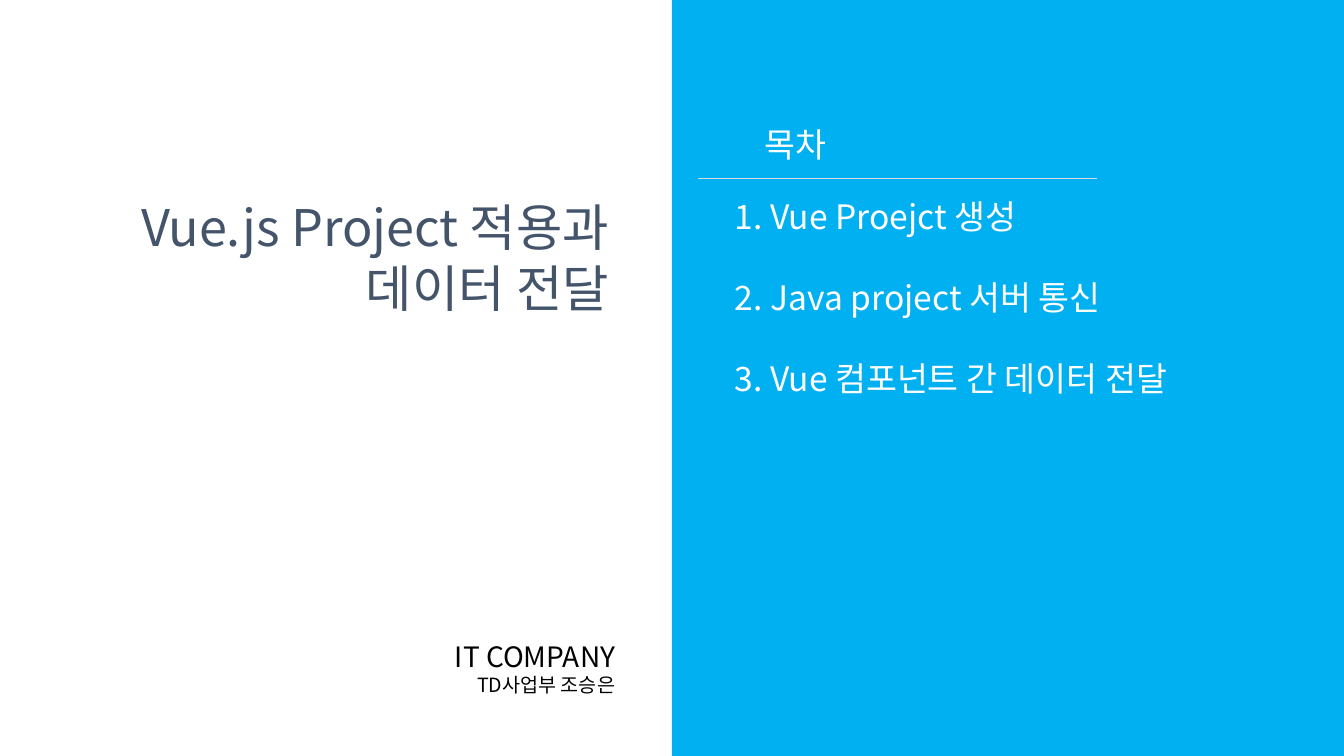
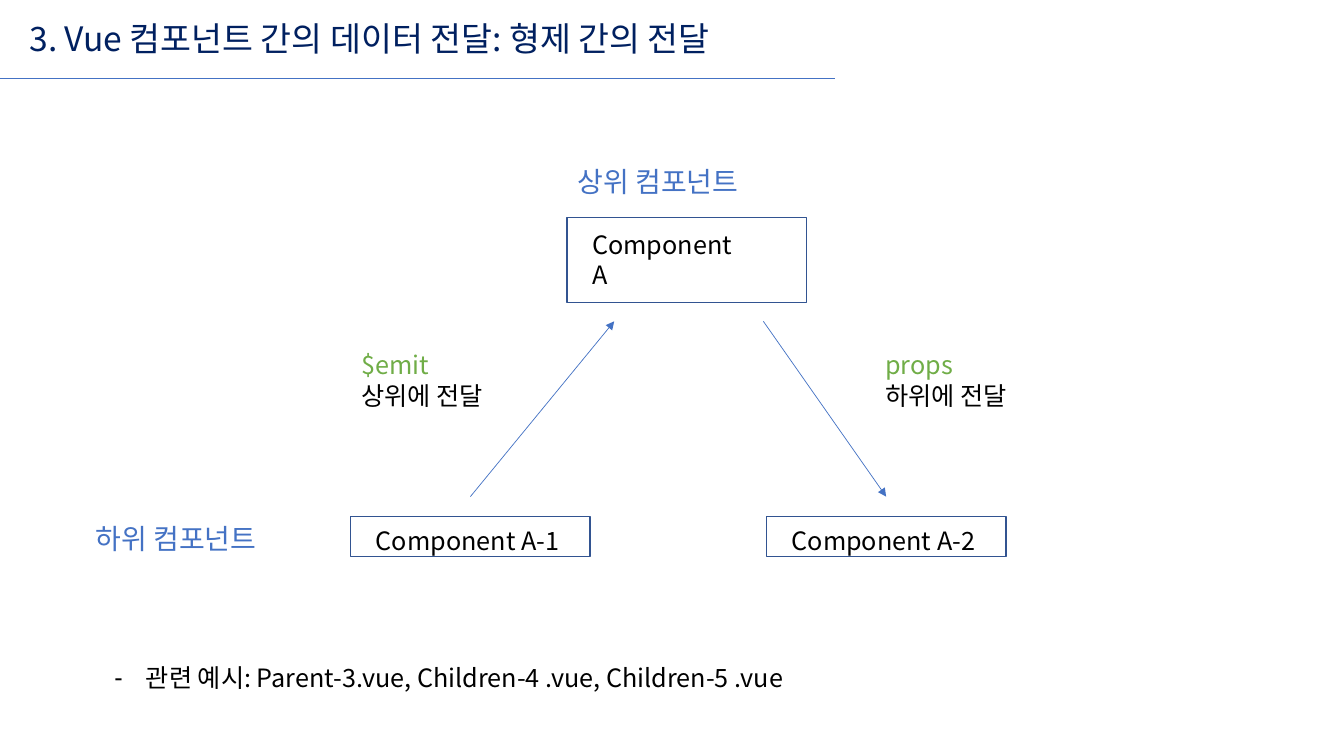
from dataclasses import dataclass
from typing import Optional

from pptx import Presentation
from pptx.dml.color import RGBColor
from pptx.enum.shapes import MSO_CONNECTOR, MSO_SHAPE
from pptx.enum.text import MSO_ANCHOR, MSO_AUTO_SIZE, PP_ALIGN
from pptx.oxml.ns import qn
from pptx.shapes.autoshape import Shape
from pptx.shapes.connector import Connector
from pptx.slide import Slide
from pptx.text.text import TextFrame
from pptx.util import Emu, Pt
from lxml.etree import SubElement

PX = 9525
WIDTH, HEIGHT = 1280, 720
FONT = "Noto Sans CJK KR"
LINE_PITCH = 1.2
COLORS = {
    "panel": "00B0F0",
    "white": "FFFFFF",
    "cover": "44546A",
    "heading": "002060",
    "black": "000000",
    "blue": "4472C4",
    "border": "325491",
    "green": "70AD47",
    "divider": "D9D9D9",
}


@dataclass(frozen=True)
class Box:
    left: int
    top: int
    width: int
    height: int


@dataclass(frozen=True)
class Line:
    text: str
    size: int
    color: str
    before: int = 0
    dash: bool = False


@dataclass(frozen=True)
class Insets:
    left: int = 10
    top: int = 5
    right: int = 10


@dataclass(frozen=True)
class Component:
    name: str
    box: Box
    insets: Insets


@dataclass(frozen=True)
class Transfer:
    keyword: str
    meaning: str
    label: Box
    start: tuple[int, int]
    end: tuple[int, int]


def px(length: int) -> Emu:
    return Emu(length * PX)


def rgb(color: str) -> RGBColor:
    return RGBColor.from_string(COLORS[color])


def write(frame: TextFrame, lines: list[Line],
          align: PP_ALIGN = PP_ALIGN.LEFT, insets: Insets = Insets()) -> None:
    """Fill a frame with one paragraph per line, in the deck's text style."""
    frame.word_wrap = True
    frame.auto_size = MSO_AUTO_SIZE.NONE
    frame.vertical_anchor = MSO_ANCHOR.TOP
    frame.margin_left, frame.margin_right = px(insets.left), px(insets.right)
    frame.margin_top, frame.margin_bottom = px(insets.top), px(0)
    for index, line in enumerate(lines):
        paragraph = frame.paragraphs[0] if index == 0 else frame.add_paragraph()
        paragraph.alignment = align
        paragraph.line_spacing = Pt(line.size * LINE_PITCH)
        paragraph.space_before = Pt(line.before)
        paragraph.space_after = Pt(0)
        set_bullet(paragraph._p.get_or_add_pPr(), line.dash)
        run = paragraph.add_run()
        run.text = line.text
        run.font.size = Pt(line.size)
        run.font.color.rgb = rgb(line.color)
        run.font.name = FONT
        SubElement(run._r.get_or_add_rPr(), qn("a:ea"), typeface=FONT)


def set_bullet(properties, dash: bool) -> None:
    indent = px(30) if dash else 0
    properties.set("marL", str(indent))
    properties.set("indent", str(-indent))
    if dash:
        SubElement(properties, qn("a:buChar"), char="-")
    else:
        SubElement(properties, qn("a:buNone"))


def place(shape: Shape, box: Box) -> None:
    shape.left, shape.top = px(box.left), px(box.top)
    shape.width, shape.height = px(box.width), px(box.height)


def add_text(slide: Slide, box: Box, lines: list[Line],
             align: PP_ALIGN = PP_ALIGN.LEFT) -> None:
    label = slide.shapes.add_textbox(0, 0, 0, 0)
    place(label, box)
    write(label.text_frame, lines, align)


def fill_placeholder(slide: Slide, index: int, box: Box, lines: list[Line],
                     align: PP_ALIGN = PP_ALIGN.LEFT) -> None:
    holder = slide.placeholders[index]
    place(holder, box)
    write(holder.text_frame, lines, align)


def add_rectangle(slide: Slide, box: Box, fill: Optional[str] = None,
                  border: Optional[str] = None) -> Shape:
    rectangle = slide.shapes.add_shape(MSO_SHAPE.RECTANGLE, 0, 0, 0, 0)
    place(rectangle, box)
    rectangle.shadow.inherit = False
    if fill:
        rectangle.fill.solid()
        rectangle.fill.fore_color.rgb = rgb(fill)
    else:
        rectangle.fill.background()
    if border:
        rectangle.line.color.rgb = rgb(border)
        rectangle.line.width = Pt(1)
    else:
        rectangle.line.fill.background()
    return rectangle


def add_line(slide: Slide, start: tuple[int, int], end: tuple[int, int],
             color: str) -> Connector:
    connector = slide.shapes.add_connector(
        MSO_CONNECTOR.STRAIGHT, *map(px, start + end))
    connector.line.color.rgb = rgb(color)
    connector.line.width = Pt(0.5)
    SubElement(connector._element.spPr, qn("a:effectLst"))
    return connector


def add_component(slide: Slide, component: Component) -> None:
    rectangle = add_rectangle(slide, component.box, border="border")
    write(rectangle.text_frame, [Line(component.name, 18, "black")],
          insets=component.insets)


def add_transfer(slide: Slide, transfer: Transfer) -> None:
    """Draw an arrow between components with its keyword and meaning."""
    add_text(slide, transfer.label, [
        Line(transfer.keyword, 18, "green"),
        Line(transfer.meaning, 18, "black"),
    ])
    arrow = add_line(slide, transfer.start, transfer.end, "blue")
    SubElement(arrow.line._get_or_add_ln(), qn("a:tailEnd"), type="triangle")


def build_cover(slide: Slide) -> None:
    half = WIDTH // 2
    panel = add_rectangle(slide, Box(half, 0, half, HEIGHT), fill="panel")
    slide.shapes._spTree.insert(2, panel._element)
    fill_placeholder(slide, 0, Box(87, 182, 503, 126), [
        Line("Vue.js Project 적용과", 36, "cover"),
        Line("데이터 전달", 36, "cover"),
    ], PP_ALIGN.RIGHT)
    topics = ["1. Vue Proejct 생성", "2. Java project 서버 통신",
              "3. Vue 컴포넌트 간 데이터 전달"]
    fill_placeholder(slide, 1, Box(690, 182, 492, 204), [
        Line(topic, 24, "white", before=29 if number else 0)
        for number, topic in enumerate(topics)
    ])
    add_text(slide, Box(217, 604, 379, 64), [
        Line("IT COMPANY", 20, "black"),
        Line("TD사업부 조승은", 14, "black"),
    ], PP_ALIGN.RIGHT)
    add_line(slide, (665, 170), (1045, 170), "divider")
    add_text(slide, Box(718, 113, 379, 48), [Line("목차", 24, "white")])


def build_sibling_transfer(slide: Slide) -> None:
    add_line(slide, (0, 75), (795, 75), "blue")
    fill_placeholder(slide, 0, Box(18, 12, 920, 48), [
        Line("3. Vue 컴포넌트 간의 데이터 전달: 형제 간의 전달", 24, "heading"),
    ])

    child_top, child_insets = 492, Insets(24, 8, 10)
    components = [
        Component("Component A", Box(540, 207, 228, 81), Insets(24, 11, 54)),
        Component("Component A-1", Box(334, child_top, 228, 38), child_insets),
        Component("Component A-2", Box(730, child_top, 228, 38), child_insets),
    ]
    for component in components:
        add_component(slide, component)

    upper, lower = 306, 473
    transfers = [
        Transfer("$emit", "상위에 전달", Box(334, 328, 170, 68),
                 (448, lower), (585, upper)),
        Transfer("props", "하위에 전달", Box(833, 328, 170, 68),
                 (727, upper), (844, lower)),
    ]
    for transfer in transfers:
        add_transfer(slide, transfer)

    levels = {"상위 컴포넌트": Box(540, 152, 350, 42),
              "하위 컴포넌트": Box(81, child_top, 202, 42)}
    for level, box in levels.items():
        add_text(slide, box, [Line(level, 20, "blue")])
    fill_placeholder(slide, 1, Box(99, 626, 1063, 38), [
        Line("관련 예시: Parent-3.vue, Children-4 .vue, Children-5 .vue",
             18, "black", dash=True),
    ])


def main() -> None:
    deck = Presentation()
    deck.slide_width, deck.slide_height = px(WIDTH), px(HEIGHT)
    title_and_content = deck.slide_layouts[1]
    for build in (build_cover, build_sibling_transfer):
        build(deck.slides.add_slide(title_and_content))
    deck.save("out.pptx")


if __name__ == "__main__":
    main()
